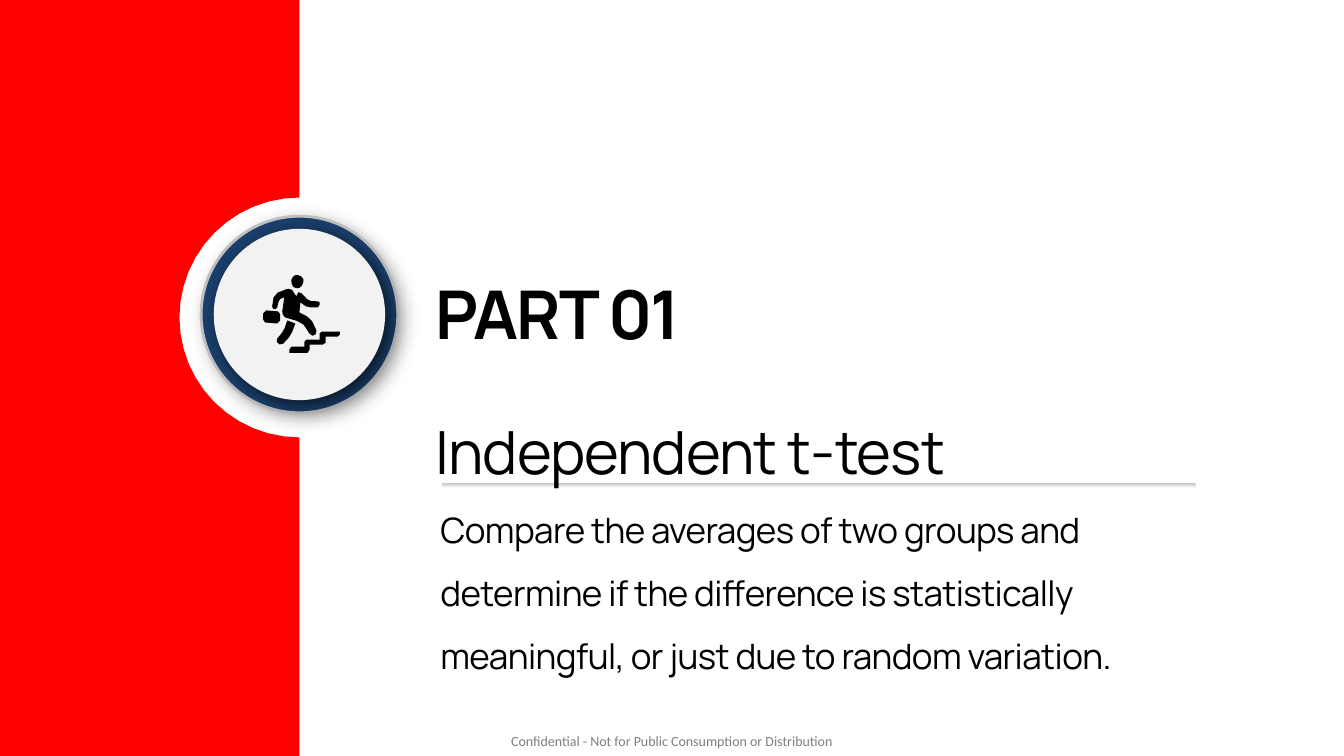
from math import cos, pi, sin

from lxml import etree
from pptx import Presentation
from pptx.dml.color import RGBColor
from pptx.enum.shapes import MSO_SHAPE as SHAPE
from pptx.enum.text import MSO_ANCHOR as ANCHOR, PP_ALIGN as ALIGN
from pptx.oxml.ns import qn
from pptx.util import Inches, Pt

COLORS = {"red": "FF0000", "navy": "1A3F6C", "white": "FFFFFF", "face": "F2F2F2",
          "grey": "BFBFBF", "black": "000000", "footer": "7F7F7F"}

# Icon outlines in hundredths of an inch: pairs are corners, sixes are cubic curves
STAIRS = [(28, 72), (41, 72), (41, 67), (43, 65), (56, 65), (56, 59), (58, 57), (76, 57),
          (76, 60), (74, 62), (62, 62), (62, 68), (59, 70), (46, 70), (46, 75), (44, 78),
          (26, 78), (26, 75)]
BRIEFCASE = [(2, 48), (14, 49), (17, 46), (17, 40), (15, 37), (3, 36), (0, 39), (0, 45)]
BACK_LEG = [(14, 64), (20, 57, 21, 56, 24, 46), (32, 49), (28, 60, 28, 61, 20, 69),
            (17, 72, 11, 67, 14, 64)]
HEAD = [(35, 1), (39, 2, 41, 5, 40, 8), (39, 12, 36, 15, 33, 14),
        (29, 14, 28, 9, 28, 6), (29, 2, 32, 0, 35, 1)]
BODY = [(35, 18), (38, 19), (46, 27, 44, 27, 54, 27), (57, 26, 57, 32, 54, 33),
        (45, 33, 44, 34, 37, 28), (36, 38), (46, 43, 48, 43, 53, 56),
        (54, 61, 48, 63, 46, 59), (39, 46, 38, 48, 22, 43), (20, 41, 19, 40, 19, 37),
        (21, 23), (15, 25, 16, 25, 14, 33), (14, 36, 8, 35, 9, 32),
        (10, 20, 11, 19, 23, 15), (25, 14, 28, 15, 29, 16), (33, 22)]


def rgb(name):
    return RGBColor.from_string(COLORS[name])


def paint(sp, fill):
    sp.shadow.inherit = False
    sp.fill.solid()
    sp.fill.fore_color.rgb = rgb(fill)
    sp.line.fill.background()
    return sp


def add_outlines(slide, outlines, fill):
    outlines = [[(Inches(x), Inches(y)) for x, y in points] for points in outlines]
    builder = slide.shapes.build_freeform(*outlines[0][0])
    for i, points in enumerate(outlines):
        if i:
            builder.move_to(*points[0])
        builder.add_line_segments(points[1:], close=True)
    return paint(builder.convert_to_shape(), fill)


def add_disc(slide, cx, cy, diameter, fill):
    sp = slide.shapes.add_shape(SHAPE.OVAL, Inches(cx - diameter / 2),
                                Inches(cy - diameter / 2), Inches(diameter), Inches(diameter))
    return paint(sp, fill)


def flatten(outline, steps=3):
    points = []
    for part in outline:
        if len(part) == 2:
            points.append(part)
            continue
        nodes = [points[-1], part[:2], part[2:4], part[4:]]
        for i in range(1, steps + 1):
            t = i / steps
            weights = ((1 - t) ** 3, 3 * t * (1 - t) ** 2, 3 * t * t * (1 - t), t ** 3)
            points.append(tuple(sum(w * n[axis] for w, n in zip(weights, nodes))
                                for axis in (0, 1)))
    return points


def add_drop_shadow(sp, opacity):
    effects = sp._element.spPr.find(qn("a:effectLst"))
    shadow = etree.SubElement(effects, qn("a:outerShdw"), blurRad=str(Pt(12)),
                              dist=str(Pt(5)), dir=str(45 * 60000), algn="tl")
    color = etree.SubElement(shadow, qn("a:srgbClr"), val=COLORS["black"])
    etree.SubElement(color, qn("a:alpha"), val=str(opacity * 1000))


# Red side panel with a round notch in its right edge
def add_panel(slide, width, height, notch_y, radius, steps=24):
    arc = [(width - radius * sin(pi * i / steps), notch_y - radius * cos(pi * i / steps))
           for i in range(steps + 1)]
    add_outlines(slide, [[(0, 0), (width, 0), *arc, (width, height), (0, height)]], "red")


# Round badge
def add_badge(slide, cx, cy):
    ring = add_disc(slide, cx, cy, 1.95, "navy")
    ring.line.color.rgb = rgb("grey")
    ring.line.width = Pt(2)
    add_drop_shadow(ring, 30)
    add_drop_shadow(add_disc(slide, cx, cy, 1.7, "face"), 64)


# Businessman climbing stairs
def add_climber(slide, x, y):
    for outlines in ([STAIRS], [BRIEFCASE, BACK_LEG, HEAD, BODY]):
        placed = [[(x + px / 100, y + py / 100) for px, py in flatten(outline)]
                  for outline in outlines]
        add_outlines(slide, placed, "black")


# Graded rule under the subtitle
def add_rule(slide, x, y, w, h):
    sp = paint(slide.shapes.add_shape(SHAPE.ROUNDED_RECTANGLE, Inches(x), Inches(y),
                                      Inches(w), Inches(h)), "grey")
    sp.adjustments[0] = 0.5
    sp.fill.gradient()
    sp.fill.gradient_angle = 270
    for stop, position, color in zip(sp.fill.gradient_stops, (0, 1), ("grey", "white")):
        stop.position = position
        stop.color.rgb = rgb(color)


def set_text(sp, box, text, size, spacing=1.06, font="Manrope", color="black",
             bold=False, tracking=0, inset=True):
    sp.left, sp.top, sp.width, sp.height = (Inches(v) for v in box)
    tf = sp.text_frame
    tf.word_wrap = True
    tf.vertical_anchor = ANCHOR.TOP
    if not inset:
        tf.margin_left = tf.margin_right = tf.margin_top = tf.margin_bottom = 0
    p = tf.paragraphs[0]
    p.alignment = ALIGN.LEFT
    p.line_spacing = spacing
    p.space_before = Pt(0)
    p.space_after = Pt(5)
    p.font.name, p.font.size, p.font.bold = font, Pt(size), bold
    p.font.color.rgb = rgb(color)
    r = p.add_run()
    r.text = text
    if tracking:
        r._r.get_or_add_rPr().set("spc", str(round(tracking * 100)))
    return r


# Heading, subtitle, description and footer
def add_texts(slide, x, y):
    def new_box():
        return slide.shapes.add_textbox(0, 0, 0, 0)

    r = set_text(slide.shapes.title, (x, y, 5.25, 0.91), "PART 01", 48,
                 bold=True, tracking=-1.2)
    r._r.get_or_add_rPr().set("kern", "0")
    set_text(new_box(), (x, y + 1.43, 6.89, 0.82), "Independent t-test", 42.5, tracking=-0.6)
    set_text(new_box(), (x + 0.05, y + 2.19, 7.59, 1.92),
             "Compare the averages of two groups and determine if the difference is "
             "statistically meaningful, or just due to random variation.",
             25, spacing=1.5, tracking=-0.4)
    set_text(new_box(), (5.07, 7.26, 3.23, 0.17),
             "Confidential - Not for Public Consumption or Distribution",
             10, font="Calibri", color="footer", inset=False)


def main():
    prs = Presentation()
    prs.slide_width, prs.slide_height = Inches(13.33), Inches(7.5)
    slide = prs.slides.add_slide(prs.slide_layouts[5])
    add_disc(slide, 2.97, 3.12, 2.61, "white")
    add_panel(slide, 2.97, 7.5, 3.15, 1.19)
    add_badge(slide, 2.97, 3.12)
    add_rule(slide, 4.38, 4.79, 7.48, 0.05)
    add_texts(slide, 4.22, 2.6)
    add_climber(slide, 2.61, 2.72)
    prs.save("out.pptx")


if __name__ == "__main__":
    main()
